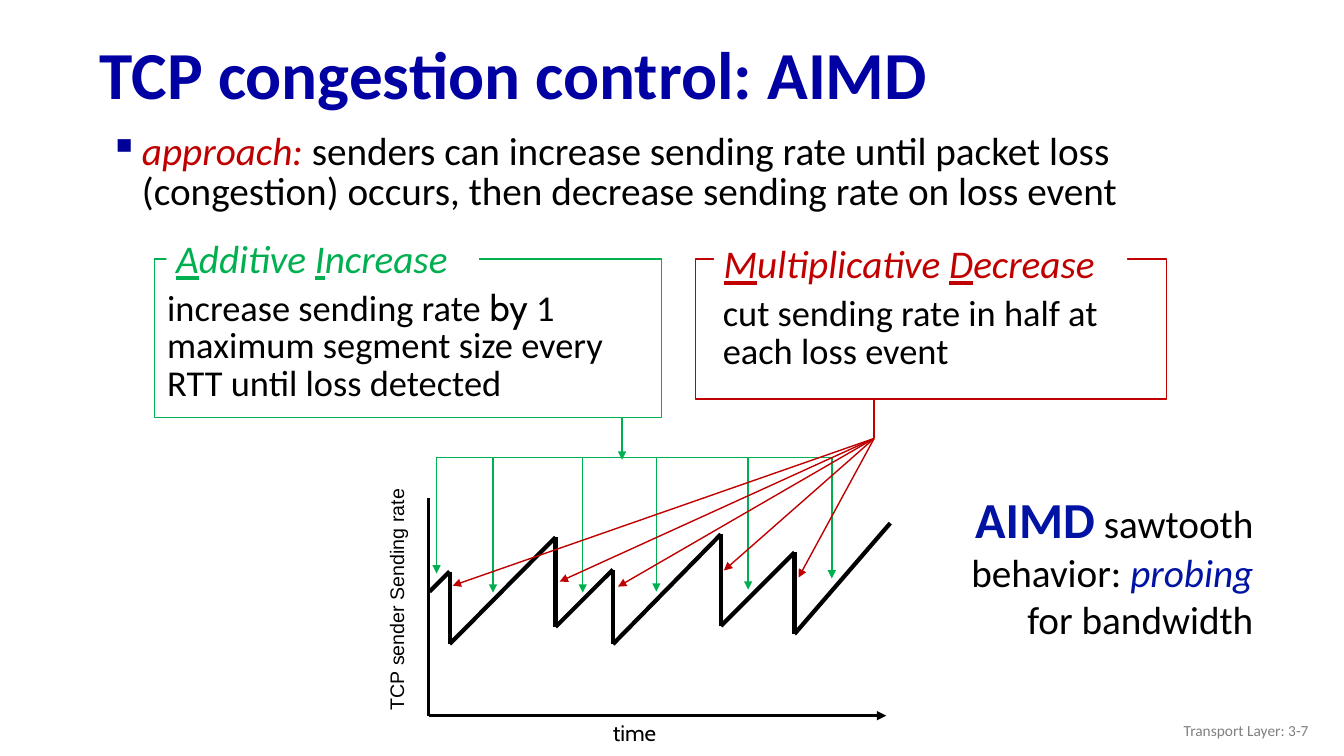
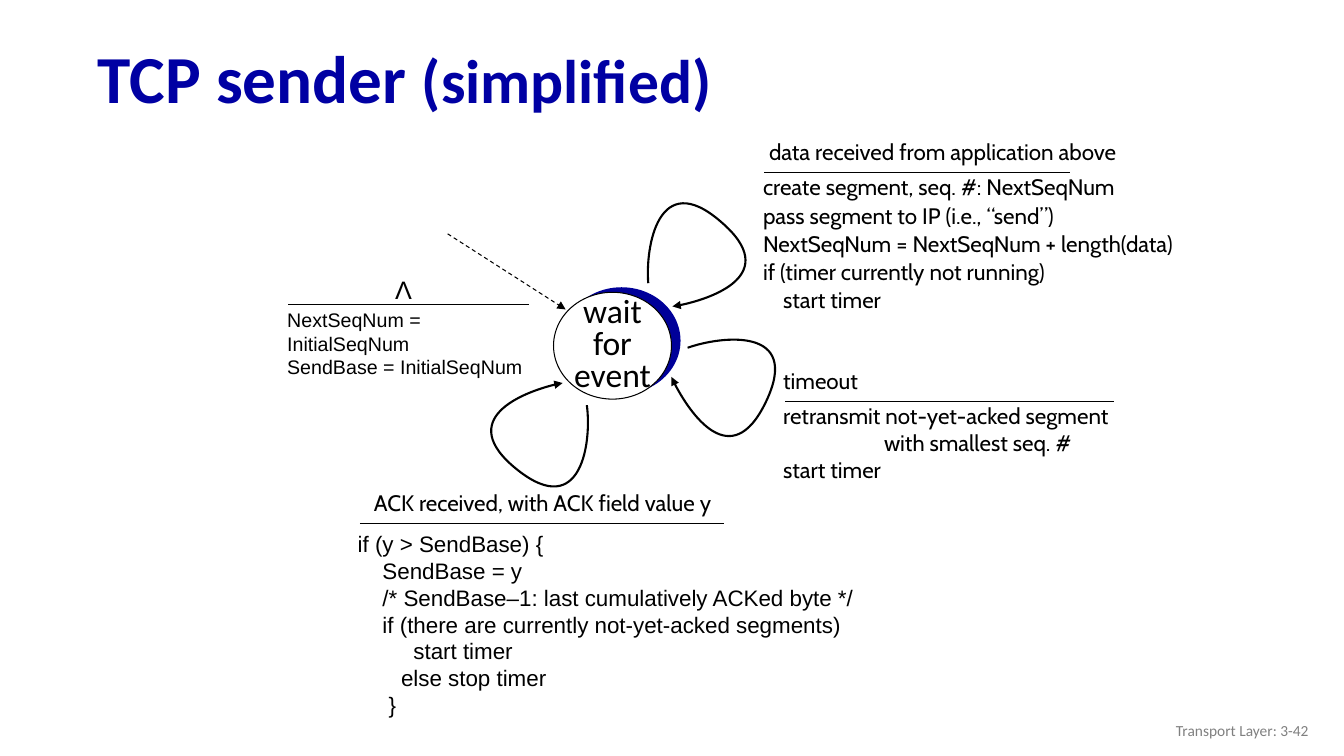
"""Build two lecture slides on TCP congestion control and the TCP sender."""
from dataclasses import dataclass, replace
from itertools import pairwise

from lxml.etree import SubElement
from pptx import Presentation
from pptx.dml.color import RGBColor
from pptx.enum.dml import MSO_LINE_DASH_STYLE as Dash
from pptx.enum.shapes import MSO_CONNECTOR as Connector, MSO_SHAPE as Preset
from pptx.enum.text import MSO_ANCHOR as Anchor, MSO_AUTO_SIZE as AutoSize, PP_ALIGN as Align
from pptx.oxml.ns import qn
from pptx.util import Inches, Pt


@dataclass(frozen=True)
class Style:
    """Hold the look of a run of text."""
    size: int
    font: str = "Calibri"
    color: str = "000000"
    bold: bool = False
    italic: bool = False
    underline: bool = False


@dataclass(frozen=True)
class Theme:
    """Hold the colours, type styles and line widths of the deck."""
    ink: str = "000000"
    paper: str = "FFFFFF"
    navy: str = "000099"
    green: str = "00B050"
    red: str = "C00000"
    title: Style = Style(48, color="0000A3", bold=True)
    title_note: Style = Style(44, color="0000A3", bold=True)
    footer: Style = Style(11, color="808080")
    body: Style = Style(28)
    detail: Style = Style(26)
    state: Style = Style(24)
    acronym: Style = Style(36, color="0013A3", bold=True)
    probing: Style = Style(28, color="0013A3", italic=True)
    caption: Style = Style(16, "Cabin")
    code: Style = Style(16, "Arial")
    small_code: Style = Style(14, "Arial")
    empty_event: Style = Style(18, "Arial")
    hairline: float = 0.75
    thin: float = 1
    loop: float = 1.5
    axis: float = 2.25
    sawtooth: float = 3


THEME = Theme()


def rgb(value):
    """Turn a hex string into a colour."""
    return RGBColor.from_string(value)


def write(frame, paragraphs, align=Align.LEFT, spacing=None, indents=None, anchor=Anchor.TOP):
    """Fill a text frame with paragraphs, each a list of (text, style) runs."""
    frame.word_wrap = True
    frame.auto_size = AutoSize.NONE
    frame.vertical_anchor = anchor
    for index, runs in enumerate(paragraphs):
        paragraph = frame.paragraphs[0] if index == 0 else frame.add_paragraph()
        paragraph.alignment = align
        if spacing:
            paragraph.line_spacing = spacing
        if indents and index in indents:
            paragraph._p.get_or_add_pPr().set("marL", str(Inches(indents[index])))
        for text, style in runs:
            run = paragraph.add_run()
            run.text = text
            font = run.font
            font.name, font.size = style.font, Pt(style.size)
            font.bold, font.italic = style.bold, style.italic
            font.underline = style.underline
            font.color.rgb = rgb(style.color)


def plain(style, *lines):
    """Give each line its own paragraph in one style."""
    return [[(line, style)] for line in lines]


def add_text(slide, box, paragraphs, **layout):
    """Add a text box and return its frame."""
    frame = slide.shapes.add_textbox(*map(Inches, box)).text_frame
    write(frame, paragraphs, **layout)
    return frame


def add_panel(slide, preset, box, fill, outline=None, width=THEME.thin):
    """Add a filled preset shape, with an outline when a colour is given."""
    panel = slide.shapes.add_shape(preset, *map(Inches, box))
    panel.shadow.inherit = False
    panel.fill.solid()
    panel.fill.fore_color.rgb = rgb(fill)
    if outline:
        style_line(panel.line, outline, width)
    else:
        panel.line.fill.background()
    return panel


def style_line(line, color, width, arrow=False, dash=None):
    """Set a line's colour, width, dash and arrowhead."""
    line.color.rgb = rgb(color)
    line.width = Pt(width)
    if dash:
        line.dash_style = dash
    if arrow:
        SubElement(line._get_or_add_ln(), qn("a:tailEnd"), type="triangle")


def add_line(slide, start, end, color=THEME.ink, width=THEME.hairline, arrow=False, dash=None):
    """Draw a straight connector between two points."""
    connector = slide.shapes.add_connector(
        Connector.STRAIGHT, *map(Inches, (*start, *end)))
    style_line(connector.line, color, width, arrow, dash)
    SubElement(connector._element.spPr, qn("a:effectLst"))


def add_loop(slide, start, *controls):
    """Draw a curved transition arrow; every three controls form one Bézier segment."""
    builder = slide.shapes.build_freeform(*map(Inches, start))
    builder.add_line_segments([tuple(map(Inches, point)) for point in controls], close=False)
    loop = builder.convert_to_shape()
    loop.shadow.inherit = False
    loop.fill.background()
    style_line(loop.line, THEME.ink, THEME.loop, arrow=True)
    outline = next(loop._element.iter(qn("a:path")))
    segments = outline.findall(qn("a:lnTo"))
    for first in range(0, len(segments), 3):
        curve = SubElement(outline, qn("a:cubicBezTo"))
        for segment in segments[first:first + 3]:
            curve.append(segment[0])
            outline.remove(segment)


def add_slide(deck, title_at, title_runs, number):
    """Add a title-only slide with its heading and footer."""
    slide = deck.slides.add_slide(deck.slide_layouts[5])
    title = slide.shapes.title
    title.left, title.top = map(Inches, title_at)
    title.width, title.height = Inches(12.44), Inches(0.98)
    write(title.text_frame, [title_runs], spacing=0.9, anchor=Anchor.MIDDLE)
    add_text(slide, (10.08, 7.05, 3, 0.4), plain(THEME.footer, f"Transport Layer: {number}"),
             align=Align.RIGHT, anchor=Anchor.MIDDLE)
    return slide


def add_rule_box(slide, frame_box, label_box, detail_box, color, words, detail):
    """Draw an outlined rule with its label set into the top edge."""
    add_panel(slide, Preset.RECTANGLE, frame_box, THEME.paper, color)
    add_text(slide, detail_box, [detail], spacing=0.85)
    label = add_panel(slide, Preset.RECTANGLE, label_box, THEME.paper)
    style = replace(THEME.body, color=color, italic=True)
    initial = replace(style, underline=True)
    runs = []
    for word in words:
        runs += [(word[0], initial), (word[1:], style)]
    write(label.text_frame, [runs], spacing=0.85)


def add_approach(slide):
    """Write the bulleted statement of the approach."""
    frame = add_text(slide, (0.99, 1.28, 11.24, 1), [[
        ("approach: ", replace(THEME.body, color=THEME.red, italic=True)),
        ("senders can increase sending rate until packet loss (congestion) occurs, "
         "then decrease sending rate on loss event", THEME.body)]], spacing=0.85)
    properties = frame.paragraphs[0]._p.get_or_add_pPr()
    properties.set("marL", str(Inches(0.32)))
    properties.set("indent", str(Inches(-0.32)))
    bullet_color = SubElement(properties, qn("a:buClr"))
    SubElement(bullet_color, qn("a:srgbClr"), val=THEME.navy)
    SubElement(properties, qn("a:buChar"), char="▪")


def add_sawtooth(slide):
    """Draw the sending-rate curve with its axes."""
    rates = [(4.26, 5.87), (4.46, 5.67), (4.46, 6.39), (5.51, 5.33), (5.51, 6.22), (6.08, 5.65),
             (6.08, 6.39), (7.15, 5.3), (7.15, 6.21), (7.88, 5.48), (7.88, 6.29), (8.83, 5.19)]
    for start, end in pairwise(rates):
        add_line(slide, start, end, width=THEME.sawtooth)
    rate_label = add_panel(slide, Preset.RECTANGLE, (2.69, 5.73, 2.49, 0.34), THEME.paper)
    rate_label.rotation = 270
    write(rate_label.text_frame, plain(THEME.small_code, "TCP sender Sending rate"))
    add_line(slide, (4.25, 7.1), (8.79, 7.1), width=THEME.axis, arrow=True)
    add_line(slide, (4.25, 4.94), (4.25, 7.1), width=THEME.axis)
    add_text(slide, (5.98, 7.09, 0.8, 0.37), plain(THEME.caption, "time"))


def add_phase_arrows(slide):
    """Point from each rule to the matching parts of the sawtooth."""
    bar = 4.54
    for x, tip in [(4.33, 5.69), (4.89, 5.88), (5.78, 5.88), (6.51, 5.87), (7.42, 5.85),
                   (8.25, 5.74)]:
        add_line(slide, (x, bar), (x, tip), THEME.green, THEME.thin, arrow=True)
    add_line(slide, (4.32, bar), (8.26, bar), THEME.green, THEME.thin)
    add_line(slide, (6.17, 4.14), (6.17, 4.56), THEME.green, THEME.thin, arrow=True)
    hub = (8.67, 4.35)
    for loss in [(7.92, 5.73), (4.49, 5.81), (5.55, 5.77), (6.13, 5.82), (7.18, 5.66)]:
        add_line(slide, hub, loss, THEME.red, THEME.thin, arrow=True)
    add_line(slide, hub, (8.67, 3.96), THEME.red, THEME.thin)


def build_aimd(deck):
    """Build the AIMD slide."""
    slide = add_slide(deck, (0.89, 0.28), [("TCP congestion control: AIMD", THEME.title)], "3-7")
    add_approach(slide)
    add_text(slide, (9.3, 4.79, 3.23, 1.65), [
        [("AIMD", THEME.acronym), (" sawtooth", THEME.body)],
        [("behavior: ", THEME.body), ("probing", THEME.probing)],
        [("for bandwidth", THEME.body)]], align=Align.RIGHT)
    add_sawtooth(slide)
    add_rule_box(slide, (1.53, 2.57, 5.03, 1.57), (1.65, 2.35, 3.1, 0.49), (1.56, 2.85, 5.03, 1.3),
                 THEME.green, ("Additive ", "Increase"), [
                     ("increase sending rate ", THEME.detail),
                     ("by ", replace(THEME.detail, font="Cabin")),
                     ("1 maximum segment size every RTT until loss detected", THEME.detail)])
    add_rule_box(slide, (6.9, 2.57, 4.67, 1.39), (7.08, 2.4, 4.1, 0.49), (7.07, 2.9, 4.69, 0.9),
                 THEME.red, ("Multiplicative ", "Decrease"),
                 [("cut sending rate in half at each loss event", THEME.detail)])
    add_phase_arrows(slide)


def add_state(slide):
    """Draw the waiting state with its shadow disc."""
    add_panel(slide, Preset.OVAL, (5.58, 2.85, 1.17, 1.06), THEME.navy)
    state = add_panel(slide, Preset.OVAL, (5.49, 2.9, 1.17, 1.06), THEME.paper, THEME.ink,
                      THEME.hairline)
    frame = state.text_frame
    frame.margin_left = frame.margin_right = frame.margin_top = frame.margin_bottom = 0
    write(frame, plain(THEME.state, "wait", "for", "event"), align=Align.CENTER, spacing=0.8,
          anchor=Anchor.MIDDLE)
    frame.word_wrap = False


def add_transition(slide, event_box, event, rule, action_box, actions, **layout):
    """Write an event above a rule and its actions below."""
    add_text(slide, event_box, event)
    left, right, y = rule
    add_line(slide, (left, y), (right, y))
    add_text(slide, action_box, actions, **layout)


def build_sender(deck):
    """Build the simplified TCP sender slide."""
    slide = add_slide(deck, (0.87, 0.32),
                      [("TCP sender ", THEME.title), ("(simplified)", THEME.title_note)], "3-42")
    add_state(slide)
    add_line(slide, (4.44, 2.32), (5.61, 3.07), arrow=True, dash=Dash.DASH)
    add_transition(
        slide, (3.82, 2.67, 0.5, 0.4), plain(THEME.empty_event, "Λ"), (2.86, 5.25, 3.02),
        (2.75, 3.01, 2.6, 0.8),
        plain(THEME.small_code, "NextSeqNum = InitialSeqNum", "SendBase = InitialSeqNum"))
    add_transition(
        slide, (7.67, 3.59, 1.2, 0.37), plain(THEME.caption, "timeout"), (7.79, 11.05, 3.98),
        (7.67, 3.94, 3.8, 0.9),
        plain(THEME.caption, "retransmit not-yet-acked segment", "with smallest seq. #",
              "start timer"), indents={1: 1})
    add_transition(
        slide, (3.61, 4.8, 4, 0.37), plain(THEME.caption, "ACK received, with ACK field value y"),
        (3.57, 7.18, 5.19), (3.45, 5.21, 5.5, 1.97),
        plain(THEME.code, "if (y > SendBase) {", "    SendBase = y",
              "    /* SendBase–1: last cumulatively ACKed byte */",
              "    if (there are currently not-yet-acked segments)",
              "         start timer", "       else stop timer", "     }"))
    add_transition(
        slide, (7.53, 1.32, 4, 0.37), plain(THEME.caption, "data received from application above"),
        (7.58, 10.61, 1.71), (7.47, 1.66, 4.7, 1.5),
        plain(THEME.caption, "create segment, seq. #: NextSeqNum",
              "pass segment to IP (i.e., “send”)", "NextSeqNum = NextSeqNum + length(data)",
              "if (timer currently not running)", "start timer"), spacing=1.05, indents={4: 0.2})
    add_loop(slide, (6.43, 2.81), (6.4, 2.45), (6.53, 1.66), (7.15, 2.2),
             (7.77, 2.73), (6.93, 3.01), (6.67, 3.04))
    add_loop(slide, (6.82, 3.45), (7.16, 3.33), (7.95, 3.24), (7.6, 3.98),
             (7.25, 4.72), (6.76, 3.98), (6.66, 3.74))
    add_loop(slide, (5.82, 4.02), (5.87, 4.38), (5.77, 5.17), (5.13, 4.66),
             (4.49, 4.15), (5.32, 3.84), (5.58, 3.8))


def main():
    """Build and save the deck."""
    deck = Presentation()
    deck.slide_width, deck.slide_height = Inches(13.33), Inches(7.5)
    build_aimd(deck)
    build_sender(deck)
    deck.save("out.pptx")


if __name__ == "__main__":
    main()
